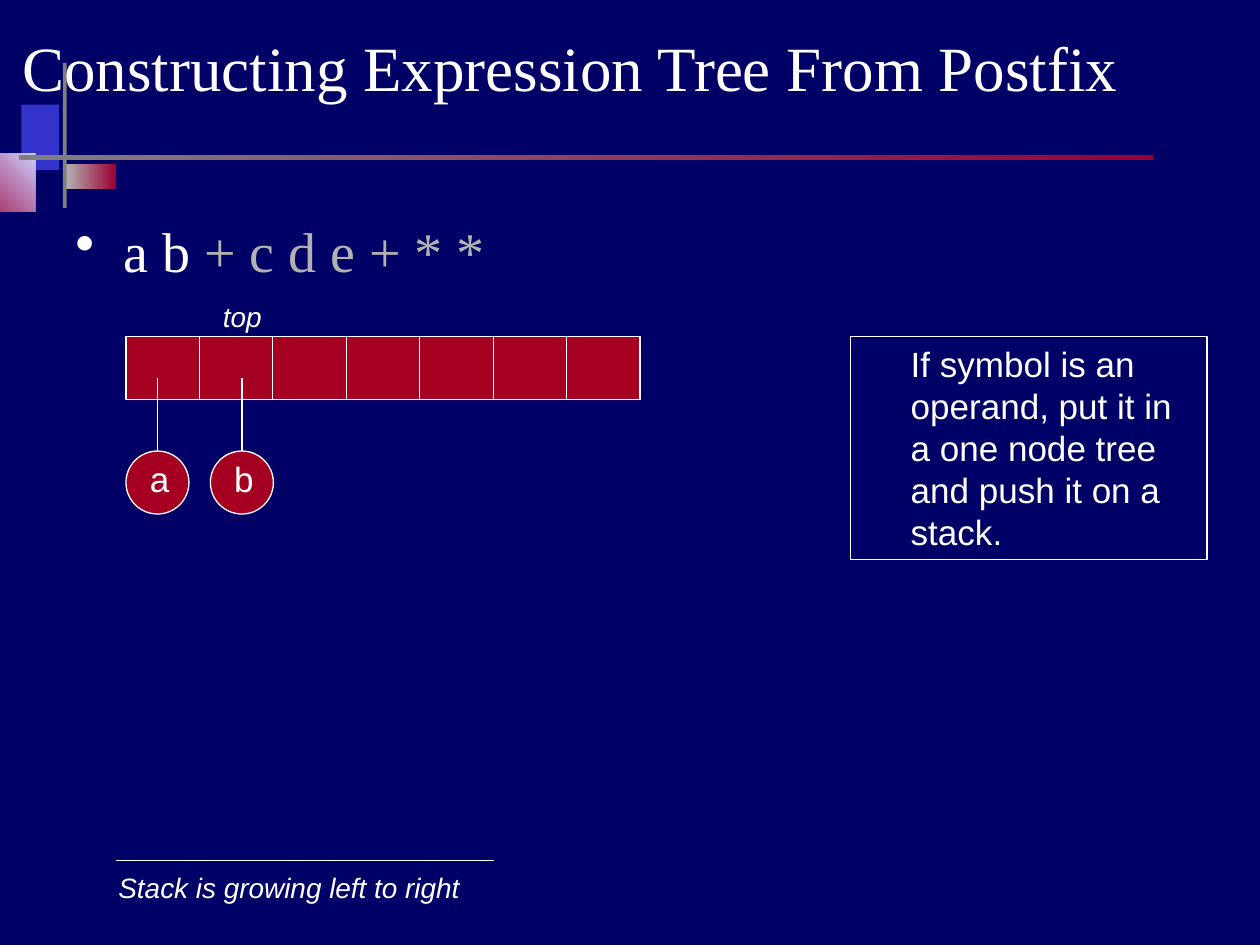
from lxml import etree
from pptx import Presentation
from pptx.dml.color import RGBColor
from pptx.enum.shapes import MSO_CONNECTOR, MSO_SHAPE
from pptx.enum.text import MSO_ANCHOR, PP_ALIGN
from pptx.oxml.ns import qn
from pptx.util import Inches, Pt

RECTANGLE, OVAL = MSO_SHAPE.RECTANGLE, MSO_SHAPE.OVAL
STRAIGHT = MSO_CONNECTOR.STRAIGHT
LEFT, CENTER = PP_ALIGN.LEFT, PP_ALIGN.CENTER
TOP, MIDDLE = MSO_ANCHOR.TOP, MSO_ANCHOR.MIDDLE

NAVY, WHITE, RED = "000066", "FFFFFF", "A50021"
BLUE, SILVER, GRAY, WINE, LAVENDER = "3333CC", "B2B2B2", "808080", "990033", "CCCCFF"
SERIF, SANS = "Times New Roman", "Arial"
LINE_WIDTH = Pt(0.75)
CELL_COUNT = 7
NODE_SIZE = 0.5

TITLE = {"name": SERIF, "size": Pt(36)}
BODY = {"name": SERIF, "size": Pt(32)}
LABEL = {"name": SANS, "size": Pt(20)}
CAPTION = {"name": SANS, "size": Pt(16), "italic": True}


def color(value):
    return RGBColor.from_string(value)


def add_box(slide, kind, box, fill=None, outline=None):
    shape = slide.shapes.add_shape(kind, *map(Inches, box))
    shape.shadow.inherit = False
    if fill is None:
        shape.fill.background()
    else:
        shape.fill.solid()
        shape.fill.fore_color.rgb = color(fill)
    if outline:
        shape.line.color.rgb = color(outline)
        shape.line.width = LINE_WIDTH
    else:
        shape.line.fill.background()
    return shape


def add_gradient(slide, box, colors, angle=0):
    shape = add_box(slide, RECTANGLE, box)
    shape.fill.gradient()
    shape.fill.gradient_angle = angle
    for stop, value in zip(shape.fill.gradient_stops, colors):
        stop.color.rgb = color(value)


def add_line(slide, start, end):
    line = slide.shapes.add_connector(STRAIGHT, *map(Inches, (*start, *end)))
    line.line.color.rgb = color(WHITE)
    line.line.width = LINE_WIDTH
    etree.SubElement(line._element.spPr, qn("a:effectLst"))


def write(shape, runs, font, align=LEFT, anchor=TOP, wrap=True):
    """Fill the shape with one paragraph of (text, colour) runs."""
    frame = shape.text_frame
    frame.word_wrap = wrap
    frame.vertical_anchor = anchor
    paragraph = frame.paragraphs[0]
    paragraph.alignment = align
    for text, value in runs:
        run = paragraph.add_run()
        run.text = text
        for key, setting in font.items():
            setattr(run.font, key, setting)
        run.font.color.rgb = color(value)
    return paragraph


def add_text(slide, box, runs, font, **layout):
    return write(slide.shapes.add_textbox(*map(Inches, box)), runs, font, **layout)


def set_indent(paragraph, margin, first_line=0):
    properties = paragraph._p.get_or_add_pPr()
    properties.set("marL", str(Inches(margin)))
    properties.set("indent", str(Inches(first_line)))
    return properties


def add_decoration(slide, left, top):
    """Coloured blocks and crossing bars beside the title."""
    add_box(slide, RECTANGLE, (left + 0.5, top + 0.33, 0.3, 0.52), BLUE)
    add_gradient(slide, (left + 0.85, top + 0.8, 0.4, 0.2), (SILVER, WINE))
    add_gradient(slide, (left, top + 0.72, 0.61, 0.46), (WINE, LAVENDER), 45)
    add_box(slide, RECTANGLE, (left + 0.83, top, 0.03, 1.15), GRAY)
    add_gradient(slide, (left + 0.48, top + 0.73, 9, 0.04), (GRAY, WINE))


def add_expression(slide, box, read, unread):
    """Bulleted postfix expression with the unread symbols dimmed."""
    paragraph = add_text(slide, box, [(read, WHITE), (unread, SILVER)], BODY)
    properties = set_indent(paragraph, 0.38, -0.38)
    bullet_color = etree.SubElement(properties, qn("a:buClr"))
    etree.SubElement(bullet_color, qn("a:srgbClr"), val=WHITE)
    etree.SubElement(properties, qn("a:buChar"), char="•")


def add_stack(slide, box, nodes):
    """Row of stack cells with a one-node tree hanging from each filled cell."""
    left, top, width, height = box
    add_box(slide, RECTANGLE, box, RED, WHITE)
    for index in range(1, CELL_COUNT):
        x = left + index * width / CELL_COUNT
        add_line(slide, (x, top), (x, top + height))

    node_top = top + 0.91
    for index, name in enumerate(nodes):
        node_left = left + index * 0.67
        center = node_left + NODE_SIZE / 2
        add_line(slide, (center, top + 0.33), (center, top + 1))
        add_box(slide, OVAL, (node_left, node_top, NODE_SIZE, NODE_SIZE), RED, WHITE)
        add_text(slide, (node_left + 0.09, node_top, 0.35, 0.44), [(name, WHITE)],
                 LABEL, align=CENTER, wrap=False)

    add_text(slide, (left + 0.67, top - 0.34, 0.75, 0.37), [("top", WHITE)], CAPTION)


def add_rule_box(slide, box, text):
    shape = add_box(slide, RECTANGLE, box, outline=WHITE)
    set_indent(write(shape, [(text, WHITE)], LABEL), 0.38)


def add_footnote(slide, left, top, text):
    add_text(slide, (left - 0.08, top + 0.03, 2.91, 0.37), [(text, WHITE)],
             CAPTION, align=CENTER, wrap=False)
    add_line(slide, (left, top), (left + 3, top))


def main():
    presentation = Presentation()
    presentation.slide_width, presentation.slide_height = Inches(10), Inches(7.5)
    slide = presentation.slides.add_slide(presentation.slide_layouts[6])
    slide.background.fill.solid()
    slide.background.fill.fore_color.rgb = color(NAVY)

    add_decoration(slide, -0.33, 0.5)
    add_text(slide, (0.08, 0.03, 9, 1), [("Constructing Expression Tree From Postfix", WHITE)],
             TITLE, anchor=MIDDLE)
    add_expression(slide, (0.5, 1.67, 9, 0.92), "a b ", "+ c d e + * *")
    add_stack(slide, (1, 2.67, 4.08, 0.5), "ab")
    add_footnote(slide, 0.92, 6.83, "Stack is growing left to right")
    add_rule_box(slide, (6.75, 2.67, 2.83, 1.77),
                 "If symbol is an operand, put it in a one node tree and push it on a stack.")
    presentation.save("out.pptx")


if __name__ == "__main__":
    main()
